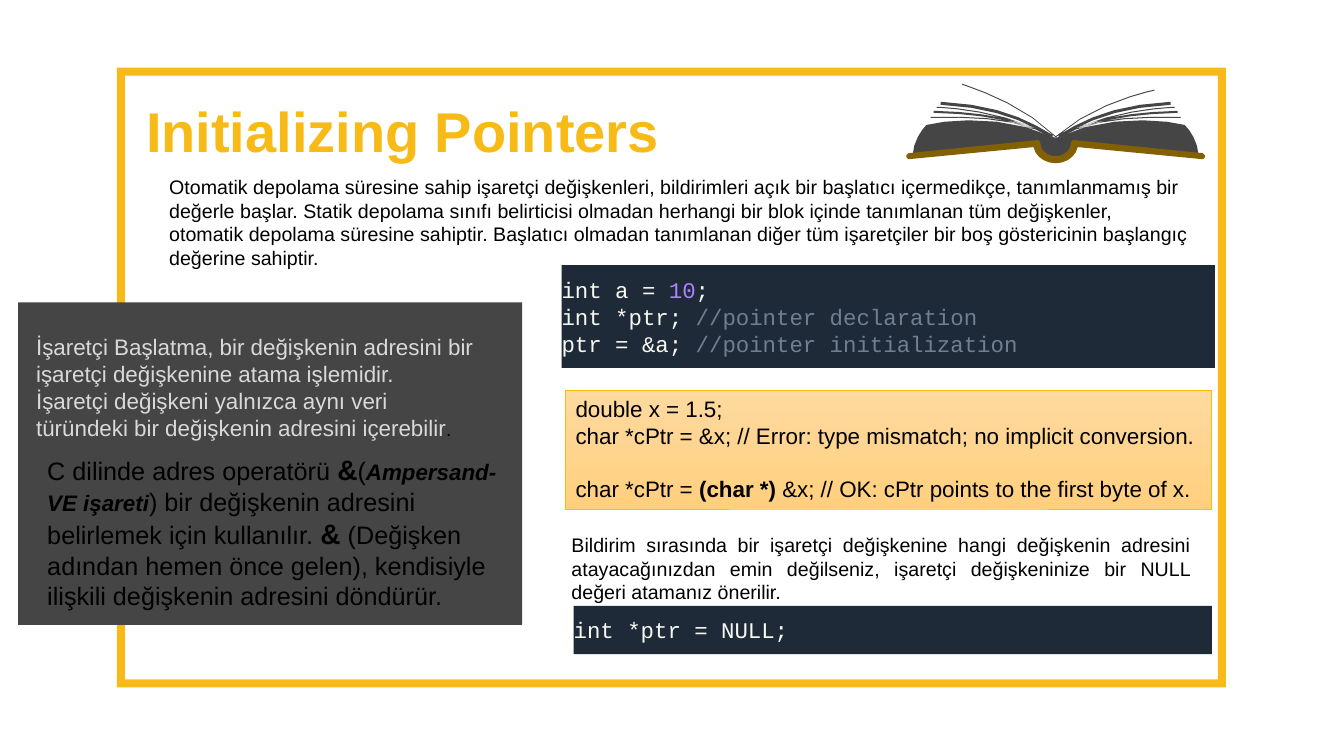
"""Build the slide on initializing pointers in C."""
from dataclasses import dataclass
from typing import Optional

from pptx import Presentation
from pptx.dml.color import RGBColor as Rgb
from pptx.enum.shapes import MSO_SHAPE as Kind
from pptx.enum.text import MSO_ANCHOR as Anchor, PP_ALIGN as Align
from pptx.shapes.autoshape import Shape
from pptx.shapes.shapetree import SlideShapes as Shapes
from pptx.text.text import TextFrame as Frame
from pptx.util import Inches, Pt

Point = tuple[float, float]
Step = tuple[Point, ...]


@dataclass(frozen=True)
class Theme:
    """Colours, fonts and type sizes of the slide."""
    gold: str = "F8BA16"
    gray: str = "454545"
    brown: str = "836004"
    navy: str = "1E2A37"
    white: str = "FFFFFF"
    black: str = "000000"
    pale: str = "D9D9D9"
    code: str = "F8F8F2"
    digit: str = "AE81FF"
    remark: str = "708090"
    light: str = "FEDAA0"
    deep: str = "FFCF7D"
    sans: str = "Arial"
    mono: str = "Courier New"
    title: int = 40
    large: int = 20
    lead: int = 18
    body: int = 16
    small: int = 14


T = Theme()


@dataclass(frozen=True)
class Run:
    """A stretch of text with its own format."""
    text: str
    color: Optional[str] = None
    size: Optional[int] = None
    bold: bool = False
    slant: bool = False


@dataclass(frozen=True)
class Box:
    """A text block with its place, fill and format."""
    at: tuple[float, float, float, float]
    lines: tuple[tuple[Run, ...], ...] = ()
    fill: Optional[str] = None
    fade: Optional[str] = None
    edge: Optional[str] = None
    color: str = T.black
    size: int = T.body
    font: str = T.sans
    align: Align = Align.LEFT
    anchor: Anchor = Anchor.TOP
    inset: tuple[float, float] = (0.1, 0.05)
    wrap: bool = True
    gaps: tuple[int, ...] = ()


@dataclass(frozen=True)
class Page:
    """A curved page edge of the open book."""
    curve: Step
    depth: float


AXIS = 10.47
COVER: tuple[Step, ...] = (
    ((AXIS, 1.37),),
    ((10.94, 1.14), (11.52, 1.18), (11.75, 1.24)),
    ((11.75, 1.24), (11.88, 1.36), (11.89, 1.55)),
    ((10.66, 1.41),),
    ((10.66, 1.5), (10.58, 1.57), (AXIS, 1.57)),
)
SPINE: tuple[Step, ...] = (
    ((AXIS, 1.55),),
    ((10.55, 1.55), (10.62, 1.49), (10.62, 1.43)),
    ((10.62, 1.41), (10.63, 1.39), (10.65, 1.39)),
    ((11.93, 1.52),),
    ((11.95, 1.54),),
    ((11.95, 1.56),),
    ((11.93, 1.58),),
    ((10.69, 1.46),),
    ((10.67, 1.55), (10.58, 1.62), (AXIS, 1.62)),
)
PAGES = (
    Page(((10.47, 1.38), (10.77, 1.17), (11.23, 1.15), (11.71, 1.16)), 0.01),
    Page(((10.7, 1.26), (10.93, 1.17), (11.23, 1.11), (11.68, 1.1)), 0.02),
    Page(((10.7, 1.26), (11.15, 1.07), (11.64, 1.06), (11.65, 1.06)), 0.01),
    Page(((10.5, 1.34), (10.76, 1.18), (11.05, 1.04), (11.61, 1.01)), 0.03),
)
TOPS = (
    Page(((10.46, 1.36), (10.85, 1.01), (11.44, 0.89), (11.45, 0.89)), 0.01),
    Page(((10.46, 1.36), (10.83, 0.99), (11.39, 0.84), (11.4, 0.83)), 0.01),
)

BOXES = (
    Box((0.18, 3, 5, 3.2), fill=T.gray),
    Box((1.35, 0.91, 5.69, 0.77), ((Run("Initializing Pointers", bold=True),),),
        fill=T.white, color=T.gold, size=T.title, anchor=Anchor.MIDDLE),
    Box((0.26, 3.26, 4.59, 1.18), (
        (Run("İşaretçi Başlatma, bir değişkenin adresini bir"),),
        (Run("işaretçi değişkenine atama işlemidir."),),
        (Run("İşaretçi değişkeni yalnızca aynı veri "),),
        (Run("türündeki bir değişkenin adresini içerebilir"), Run(".", T.black, T.small)),
    ), color=T.pale, align=Align.JUSTIFY, wrap=False),
    Box((1.58, 1.69, 10.33, 1.04), ((Run(
        "Otomatik depolama süresine sahip işaretçi değişkenleri, bildirimleri açık bir "
        "başlatıcı içermedikçe, tanımlanmamış bir değerle başlar. Statik depolama sınıfı "
        "belirticisi olmadan herhangi bir blok içinde tanımlanan tüm değişkenler, otomatik "
        "depolama süresine sahiptir. Başlatıcı olmadan tanımlanan diğer tüm işaretçiler bir "
        "boş göstericinin başlangıç değerine sahiptir."),),), size=T.small),
    Box((0.37, 4.44, 4.81, 1.68), ((
        Run("C dilinde adres operatörü "), Run("&", size=T.large, bold=True), Run("("),
        Run("Ampersand- VE işareti", size=T.body, bold=True, slant=True),
        Run(") bir değişkenin adresini belirlemek için kullanılır. "),
        Run("&", size=T.large, bold=True),
        Run(" (Değişken adından hemen önce gelen), kendisiyle ilişkili değişkenin "
            "adresini döndürür."),
    ),), size=T.lead),
    Box((5.57, 5.24, 6.34, 0.81), ((Run(
        "Bildirim sırasında bir işaretçi değişkenine hangi değişkenin adresini "
        "atayacağınızdan emin değilseniz, işaretçi değişkeninize bir NULL değeri "
        "atamanız önerilir."),),), size=T.small, align=Align.JUSTIFY),
    Box((5.61, 3.87, 6.41, 1.18), (
        (Run("double x = 1.5;"),),
        (Run("char *cPtr = &x; // Error: type mismatch; no implicit conversion."),),
        (Run("char *cPtr = "), Run("(char *) ", bold=True),
         Run("&x; // OK: cPtr points to the first byte of x.")),
    ), fill=T.light, fade=T.deep, edge=T.gold, gaps=(0, 0, 19)),
    Box((5.57, 2.63, 6.48, 1.02), (
        (Run("int a = "), Run("10", T.digit), Run(";")),
        (Run("int *ptr; "), Run("//pointer declaration", T.remark)),
        (Run("ptr = &a; "), Run("//pointer initialization", T.remark)),
    ), fill=T.navy, color=T.code, font=T.mono, anchor=Anchor.MIDDLE, inset=(0, 0.1)),
    Box((5.69, 6.01, 6.33, 0.48), ((Run("int *ptr = NULL;"),),),
        fill=T.navy, color=T.code, font=T.mono, anchor=Anchor.MIDDLE, inset=(0, 0.1)),
)


def write(frame: Frame, lines: tuple[tuple[Run, ...], ...], *, color: str, size: int,
          font: str, align: Align, gaps: tuple[int, ...]) -> None:
    """Fill a text frame with formatted lines."""
    for num, runs in enumerate(lines):
        para = frame.add_paragraph() if num else frame.paragraphs[0]
        para.alignment = align
        if gaps and gaps[num]:
            para.space_before = Pt(gaps[num])
        for item in runs:
            run = para.add_run()
            run.text = item.text
            run.font.name = font
            run.font.size = Pt(item.size or size)
            run.font.bold, run.font.italic = item.bold, item.slant
            run.font.color.rgb = Rgb.from_string(item.color or color)


def paint(shape: Shape, fill: str, edge: Optional[str] = None) -> None:
    """Set the fill and edge of a shape and drop its shadow."""
    shape.shadow.inherit = False
    shape.fill.solid()
    shape.fill.fore_color.rgb = Rgb.from_string(fill)
    if edge:
        shape.line.color.rgb = Rgb.from_string(edge)
        shape.line.width = Pt(0.5)
    else:
        shape.line.fill.background()


def place(shapes: Shapes, box: Box) -> None:
    """Draw one block with its text."""
    at = [Inches(n) for n in box.at]
    if box.fill:
        shape = shapes.add_shape(Kind.RECTANGLE, *at)
        paint(shape, box.fill, box.edge)
    else:
        shape = shapes.add_textbox(*at)
    if box.fade:
        shape.fill.gradient()
        shape.fill.gradient_angle = 270
        for stop, color in zip(shape.fill.gradient_stops, (box.fill, box.fade)):
            stop.color.rgb = Rgb.from_string(color)
    frame = shape.text_frame
    frame.word_wrap, frame.vertical_anchor = box.wrap, box.anchor
    frame.margin_left = frame.margin_right = Inches(box.inset[0])
    frame.margin_top = frame.margin_bottom = Inches(box.inset[1])
    write(frame, box.lines, color=box.color, size=box.size, font=box.font,
          align=box.align, gaps=box.gaps)


def bend(start: Point, step: Step, count: int = 5) -> list[Point]:
    """Return points along a line or a cubic curve."""
    if len(step) == 1:
        return [step[0]]
    spots = []
    for t in (n / count for n in range(1, count + 1)):
        mix = ((1 - t) ** 3, 3 * t * (1 - t) ** 2, 3 * t * t * (1 - t), t ** 3)
        spots.append(tuple(sum(m * p[k] for m, p in zip(mix, (start, *step)))
                           for k in (0, 1)))
    return spots


def trace(steps: tuple[Step, ...]) -> list[Point]:
    """Return the points of a chain of steps."""
    spots = [steps[0][0]]
    for step in steps[1:]:
        spots += bend(spots[-1], step)
    return spots


def flip(spots: list[Point]) -> list[Point]:
    """Mirror points about the spine."""
    return [(2 * AXIS - x, y) for x, y in spots]


def sliver(page: Page) -> list[Point]:
    """Return the thin outline of a page edge."""
    top = trace((page.curve[:1], page.curve[1:]))
    return top + [(x, y + page.depth) for x, y in reversed(top)]


def outline(shapes: Shapes, rings: list[list[Point]], color: str) -> None:
    """Draw closed rings as one filled freeform."""
    first, *rest = [[(Inches(x), Inches(y)) for x, y in ring] for ring in rings]
    form = shapes.build_freeform(*first[0])
    form.add_line_segments(first[1:])
    for ring in rest:
        form.move_to(*ring[0])
        form.add_line_segments(ring[1:])
    paint(form.convert_to_shape(), color)


def draw_book(shapes: Shapes) -> None:
    """Draw the open book from mirrored halves."""
    for steps, color in ((COVER, T.gray), (SPINE, T.brown)):
        half = trace(steps)
        outline(shapes, [half + flip(half)[::-1]], color)
    right, left = ([sliver(page) for page in (*PAGES, top)] for top in TOPS)
    for rings in (right, [flip(ring) for ring in left]):
        outline(shapes, rings, T.gray)


def main() -> None:
    """Build and save the slide."""
    deck = Presentation()
    deck.slide_width, deck.slide_height = Inches(13.33), Inches(7.5)
    shapes = deck.slides.add_slide(deck.slide_layouts[6]).shapes
    border = shapes.add_shape(Kind.FRAME, *(Inches(n) for n in (1.16, 0.67, 11, 6.15)))
    border.adjustments[0] = 0.013
    paint(border, T.gold)
    for box in BOXES:
        place(shapes, box)
    draw_book(shapes)
    deck.save("out.pptx")


if __name__ == "__main__":
    main()
